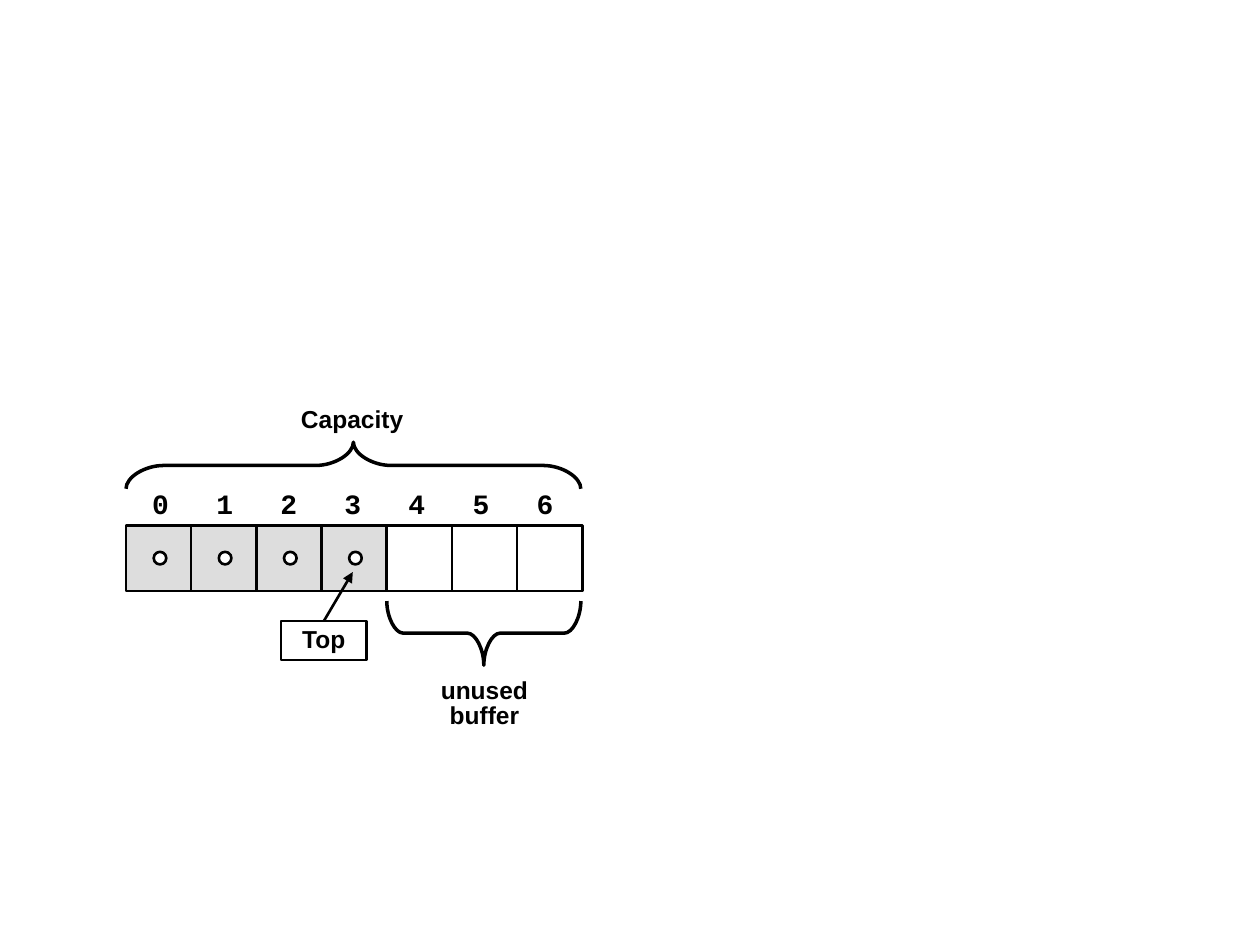
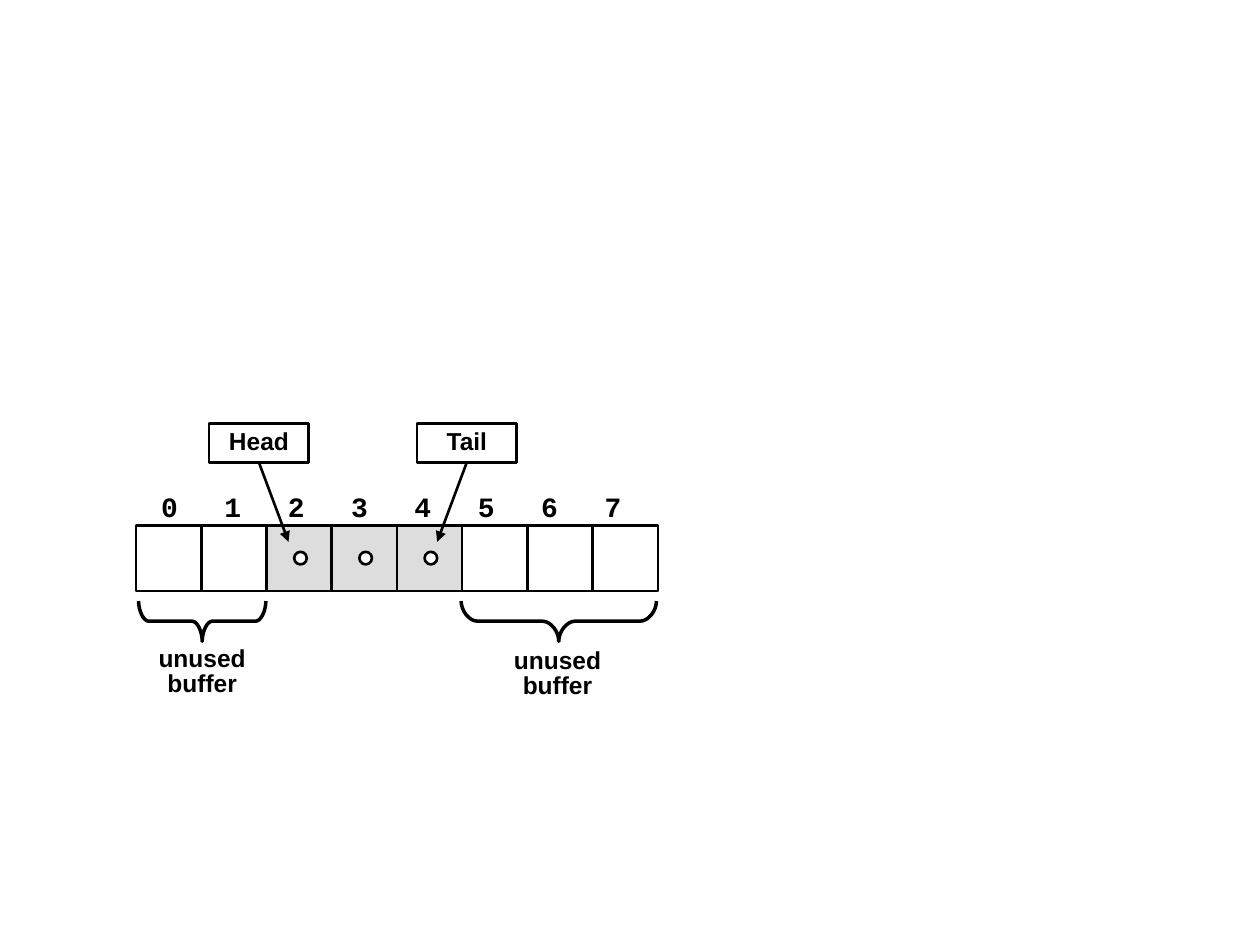
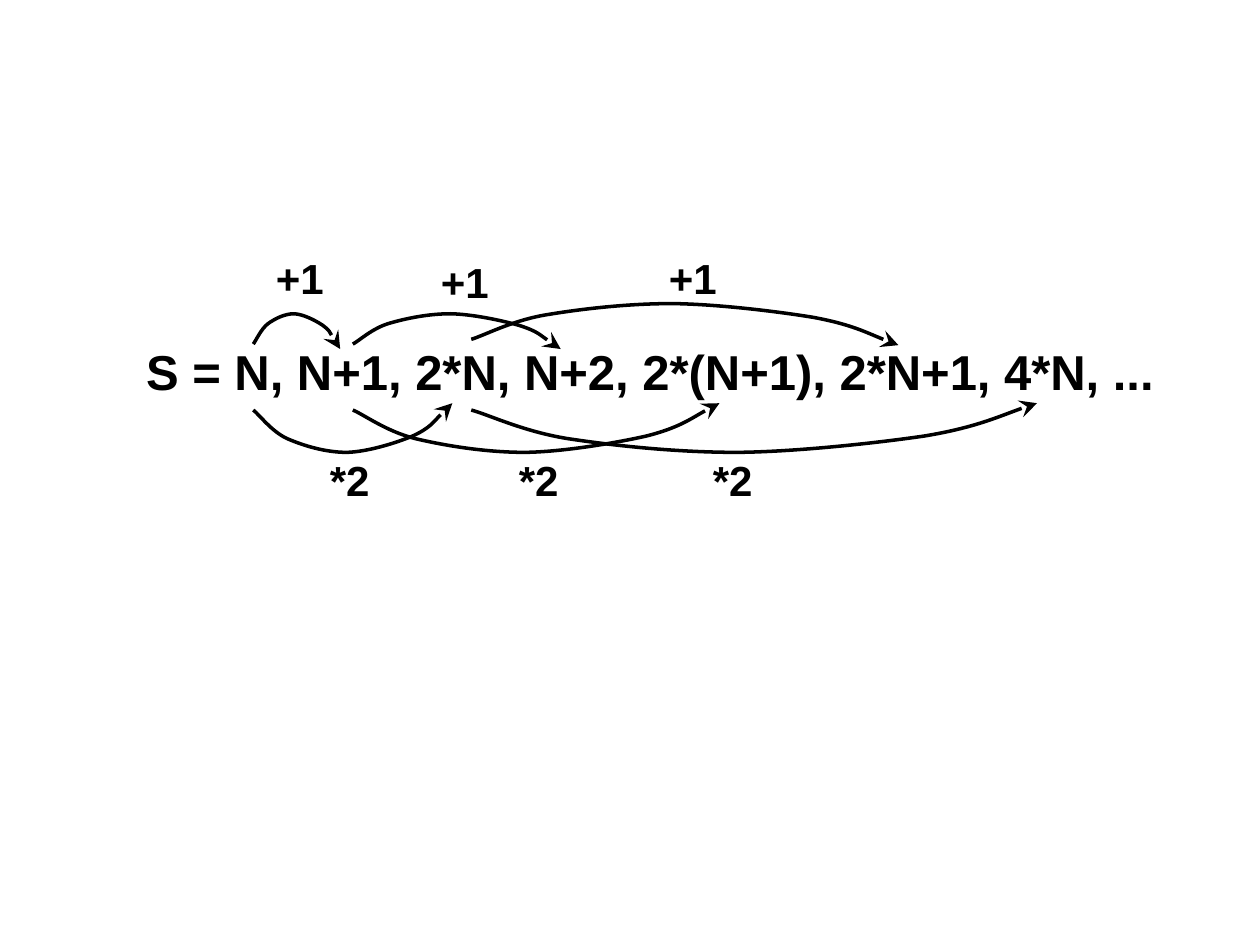
from dataclasses import dataclass

from lxml import etree
from pptx import Presentation
from pptx.dml.color import RGBColor
from pptx.enum.shapes import MSO_CONNECTOR as Link, MSO_SHAPE as Kind
from pptx.enum.text import MSO_ANCHOR as Anchor, MSO_AUTO_SIZE as Auto, PP_ALIGN as Align
from pptx.oxml.ns import qn
from pptx.util import Inches, Pt

BLACK = RGBColor(0, 0, 0)
WHITE = RGBColor(255, 255, 255)
GRAY = RGBColor(0xDD, 0xDD, 0xDD)
SANS, MONO = "Arial", "Courier New"
CELL = 0.52
ROW_TOP = 4.17

Point = tuple[float, float]
Curve = tuple[Point, ...]

# Upward arc in a unit box: x runs from start to end, y from top to bottom.
ARC: list[Point] = [
    (0, 0.86), (0.03, 0.77), (0.09, 0.43), (0.17, 0.28), (0.25, 0.14), (0.36, 0), (0.47, 0),
    (0.57, 0.01), (0.71, 0.18), (0.8, 0.33), (0.89, 0.5), (0.96, 0.86), (1, 1),
]


@dataclass(frozen=True)
class Row:
    left: float
    span: float
    count: int
    used: range
    text_left: float
    text_top: float
    text_wide: float
    text_span: float


@dataclass(frozen=True)
class Tag:
    text: str
    left: float
    top: float
    width: float
    side: int
    tip: Point


@dataclass(frozen=True)
class Brace:
    left: float
    right: float
    base: float
    tip: float
    bend: float


@dataclass(frozen=True)
class Label:
    text: str
    left: float
    top: float
    width: float
    height: float
    size: int = 14
    align: Align = Align.LEFT


@dataclass(frozen=True)
class Jump:
    start: float
    end: float
    top: float
    height: float
    below: bool = False


def put(frame, text: str, *, size: int, font: str = SANS, align: Align = Align.LEFT,
        space: float = 1.0, before: float = 0) -> None:
    frame.text = text
    for par in frame.paragraphs:
        par.alignment, par.line_spacing, par.space_before = align, space, Pt(before)
        face = par.runs[0].font
        face.name, face.size, face.bold = font, Pt(size), True
        face.color.rgb = BLACK


def ink(shape, width: float, head: str = "", scale: str = "med") -> None:
    """Draw the outline in black, with an optional arrowhead at its end."""
    shape.line.color.rgb = BLACK
    shape.line.width = Pt(width)
    if head:
        etree.SubElement(shape.line._get_or_add_ln(), qn("a:tailEnd"),
                         type=head, w=scale, len=scale)


def block(slide, kind: Kind, left: float, top: float, width: float, height: float,
          fill: RGBColor = WHITE):
    shape = slide.shapes.add_shape(kind, Inches(left), Inches(top), Inches(width), Inches(height))
    shape.shadow.inherit = False
    shape.fill.solid()
    shape.fill.fore_color.rgb = fill
    ink(shape, 1.5)
    return shape


def text_box(slide, left: float, top: float, width: float, height: float, wrap: bool = False):
    frame = slide.shapes.add_textbox(
        Inches(left), Inches(top), Inches(width), Inches(height)).text_frame
    frame.word_wrap = wrap
    frame.auto_size = Auto.SHAPE_TO_FIT_TEXT
    return frame


def draw_label(slide, item: Label) -> None:
    frame = text_box(slide, item.left, item.top, item.width, item.height)
    put(frame, item.text, size=item.size, align=item.align, space=0.85)


def draw_row(slide, row: Row) -> None:
    pitch = row.span / row.count
    for i in range(row.count):
        left = row.left + i * pitch
        fill = GRAY if i in row.used else WHITE
        block(slide, Kind.FLOWCHART_PROCESS, left, ROW_TOP, CELL, CELL, fill)
    for i in row.used:
        block(slide, Kind.OVAL, row.left + i * pitch + 0.22, ROW_TOP + 0.21, 0.1, 0.1)

    frame = text_box(slide, row.text_left, row.text_top, row.text_wide, 0.37, wrap=True)
    put(frame, "\t".join(map(str, range(row.count))), size=16, font=MONO)
    tabs = etree.SubElement(frame.paragraphs[0]._p.get_or_add_pPr(), qn("a:tabLst"))
    for i in range(1, row.count):
        stop = Inches(i * row.text_span / (row.count - 1))
        etree.SubElement(tabs, qn("a:tab"), pos=str(stop), algn="l")


def draw_tag(slide, tag: Tag) -> None:
    """Draw a named box with an arrow to its cell."""
    high = 0.31
    box = block(slide, Kind.RECTANGLE, tag.left, tag.top, tag.width, high)
    frame = box.text_frame
    frame.margin_top, frame.margin_bottom = 0, Inches(0.01)
    frame.vertical_anchor = Anchor.TOP
    put(frame, tag.text, size=14, align=Align.CENTER, space=1.1)

    edge = tag.top + (high if tag.side == 2 else 0)
    arrow = slide.shapes.add_connector(
        Link.STRAIGHT, Inches(tag.left + tag.width / 2), Inches(edge),
        Inches(tag.tip[0]), Inches(tag.tip[1]))
    arrow.begin_connect(box, tag.side)
    ink(arrow, 1.5, "triangle")
    etree.SubElement(arrow._element.spPr, qn("a:effectLst"))


def trace(slide, start: Point, parts: list[Curve], head: str = "") -> None:
    """Draw one open line; a part has one point if straight, three if a cubic curve."""
    pen = slide.shapes.build_freeform(Inches(start[0]), Inches(start[1]))
    pen.add_line_segments(
        [(Inches(x), Inches(y)) for part in parts for x, y in part], close=False)
    shape = pen.convert_to_shape()
    lines = iter(list(shape._element.iter(qn("a:lnTo"))))
    for part in parts:
        steps = [next(lines) for _ in part]
        if len(steps) == 3:
            bend = etree.Element(qn("a:cubicBezTo"))
            steps[0].addprevious(bend)
            for step in steps:
                bend.append(step[0])
                step.getparent().remove(step)
    shape.shadow.inherit = False
    shape.fill.background()
    ink(shape, 2, head, "lg")


def draw_brace(slide, item: Brace) -> None:
    left, right, base, tip, bend = item.left, item.right, item.base, item.tip, item.bend
    mid, spine = (left + right) / 2, (base + tip) / 2
    near, far = (base + spine) / 2, (spine + tip) / 2
    trace(slide, (left, base), [
        ((left, near), (left + bend / 2, spine), (left + bend, spine)),
        ((mid - bend, spine),),
        ((mid - bend / 2, spine), (mid, far), (mid, tip)),
        ((mid, far), (mid + bend / 2, spine), (mid + bend, spine)),
        ((right - bend, spine),),
        ((right - bend / 2, spine), (right, near), (right, base)),
    ])


def draw_jump(slide, jump: Jump) -> None:
    dots = [(jump.start + x * (jump.end - jump.start),
             jump.top + (1 - y if jump.below else y) * jump.height) for x, y in ARC]
    parts = [tuple(dots[i:i + 3]) for i in range(1, len(dots), 3)]
    trace(slide, dots[0], parts, "stealth")


def unused(left: float, top: float) -> Label:
    return Label("unused\nbuffer", left, top, 0.89, 0.5, align=Align.CENTER)


def draw_store(deck, row: Row, tags: list[Tag], braces: list[Brace],
               labels: list[Label]) -> None:
    slide = deck.slides.add_slide(deck.slide_layouts[6])
    draw_row(slide, row)
    for tag in tags:
        draw_tag(slide, tag)
    for item in braces:
        draw_brace(slide, item)
    for item in labels:
        draw_label(slide, item)


def draw_series(deck) -> None:
    slide = deck.slides.add_slide(deck.slide_layouts[1])
    title = slide.shapes.title._element
    title.getparent().remove(title)

    body = slide.placeholders[1]
    body.left, body.top, body.width, body.height = map(Inches, (1.06, 2.71, 8.27, 0.63))
    frame = body.text_frame
    frame.auto_size = Auto.NONE
    put(frame, "S = N, N+1, 2*N, N+2, 2*(N+1), 2*N+1, 4*N, ...", size=28, space=0.9, before=7)
    props = frame.paragraphs[0]._p.get_or_add_pPr()
    props.set("marL", str(Inches(0.39)))
    props.set("indent", str(-Inches(0.39)))
    etree.SubElement(props, qn("a:buNone"))

    for start, end, top, high in ((2.01, 2.7, 2.49, 0.28), (2.8, 4.45, 2.49, 0.28),
                                  (3.74, 7.13, 2.41, 0.33)):
        draw_jump(slide, Jump(start, end, top, high))
    for start, end in ((2.01, 3.59), (2.8, 5.71), (3.74, 8.23)):
        draw_jump(slide, Jump(start, end, 3.2, 0.39, below=True))
    for left, top in ((2.09, 2.02), (3.4, 2.05), (5.21, 2.02)):
        draw_label(slide, Label("+1", left, top, 0.59, 0.44, 24))
    for left in (2.52, 4.02, 5.56):
        draw_label(slide, Label("*2", left, 3.62, 0.53, 0.44, 24))


def main() -> None:
    deck = Presentation()
    deck.slide_width, deck.slide_height = Inches(10), Inches(7.5)
    draw_store(
        deck,
        Row(1, 3.62, 7, range(4), 1.11, 3.81, 3.42, 3.05),
        [Tag("Top", 2.23, 4.93, 0.68, 0, (2.8, 4.54))],
        [Brace(1, 4.61, 3.88, 3.51, 0.3), Brace(3.07, 4.61, 4.77, 5.28, 0.13)],
        [Label("Capacity", 2.29, 3.19, 1.01, 0.3), unused(3.4, 5.34)],
    )
    draw_store(
        deck,
        Row(1.08, 4.14, 8, range(2, 5), 1.18, 3.84, 4.1, 3.52),
        [Tag("Head", 1.66, 3.36, 0.79, 2, (2.29, 4.3)),
         Tag("Tail", 3.31, 3.36, 0.79, 2, (3.47, 4.3))],
        [Brace(1.1, 2.11, 4.77, 5.09, 0.08), Brace(3.66, 5.21, 4.77, 5.09, 0.13)],
        [unused(1.16, 5.09), unused(3.98, 5.11)],
    )
    draw_series(deck)
    deck.save("out.pptx")


if __name__ == "__main__":
    main()
